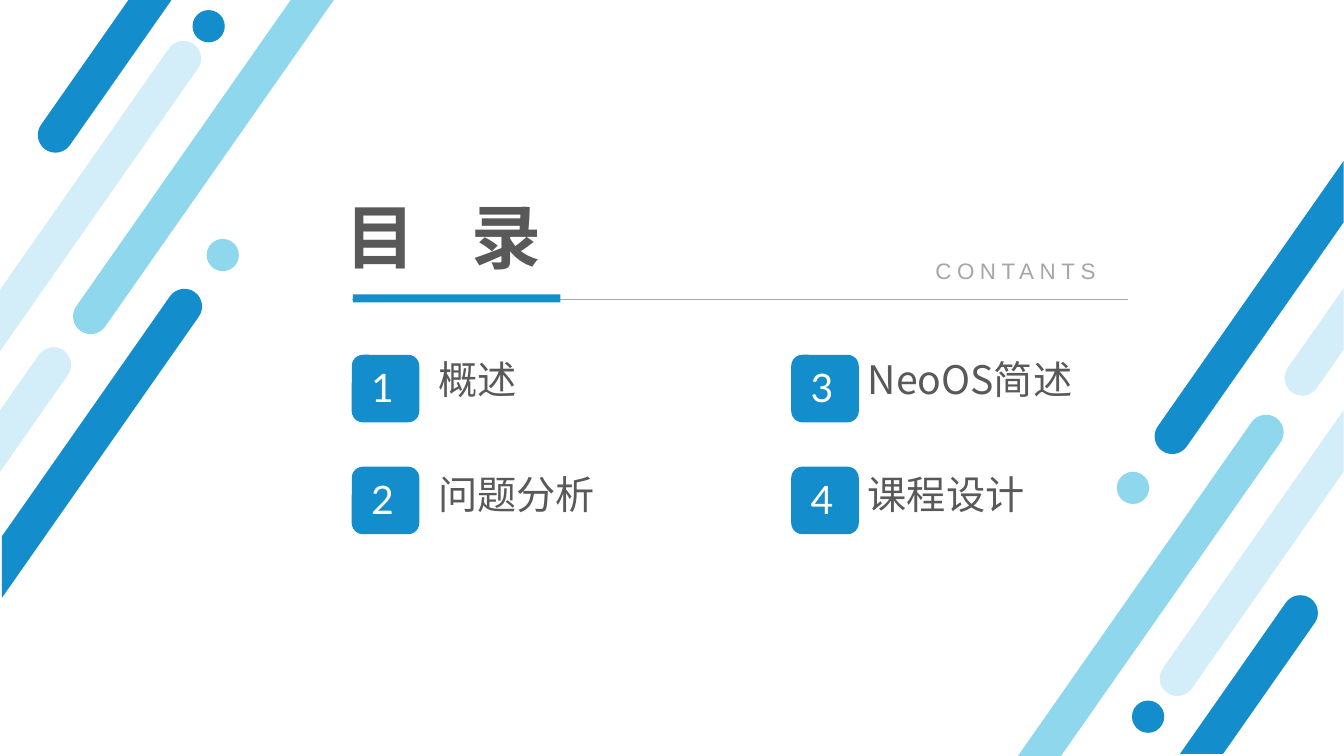
import math
from dataclasses import dataclass

from lxml import etree
from pptx import Presentation
from pptx import util as u
from pptx.dml.color import RGBColor
from pptx.enum import shapes, text
from pptx.oxml.ns import qn

TITLE = ("目", " ", "录")
SUBTITLE = "CONTANTS"
COLUMNS = [
    {"badge_x": 3.49, "text_x": 4.25, "items": [("1", "概述"), ("2", "问题分析")]},
    {"badge_x": 7.85, "text_x": 8.51, "items": [("3", "NeoOS简述"), ("4", "课程设计")]},
]
BARS = [
    ((1.83, 3.04), "x", 0.02, "blue"),
    ((0.53, 3.62), "x", 0, "pale"),
    ((0.9, 3.14), "y", 0, "sky"),
    ((1.82, 0.58), "x", 0, "pale"),
    ((0.55, 1.34), "y", 0, "blue"),
    ((11.63, 4.33), "x", 13.33, "blue"),
    ((12.92, 3.75), "x", 13.33, "pale"),
    ((12.56, 4.29), "y", 7.5, "sky"),
    ((11.68, 6.73), "x", 13.33, "pale"),
    ((12.9, 6.08), "y", 7.48, "blue"),
]
DOTS = [
    (2.05, 2.37, "sky"),
    (1.91, 0.1, "blue"),
    (11.08, 4.68, "sky"),
    (11.23, 6.95, "blue"),
]


@dataclass(frozen=True)
class Theme:
    blue: str = "138DCC"
    sky: str = "8FD7ED"
    pale: str = "D3EEF9"
    ink: str = "595959"
    grey: str = "A6A6A6"
    white: str = "FFFFFF"
    cjk: str = "Noto Sans CJK SC"
    digits: str = "Lato"
    latin: str = "Arial"
    title_size: int = 50
    item_size: int = 28
    subtitle_size: int = 16


T = Theme()
BAR_RADIUS = 0.175
BAR_ANGLE = math.radians(35)
CURVE = 0.55
CAP_OUTLINE = [(1, 0), (1, CURVE), (CURVE, 1), (0, 1), (-CURVE, 1), (-1, CURVE), (-1, 0)]
DOT_SIZE = 0.32
BADGE_SIZE = 0.67
BADGE_TOP, BADGE_PITCH = 3.52, 1.11
LIST_TOP, LIST_GAP = 3.47, 49


def color(value):
    return RGBColor.from_string(value)


def paint(sp, fill):
    sp.shadow.inherit = False
    sp.fill.solid()
    sp.fill.fore_color.rgb = color(fill)
    sp.line.fill.background()


def place(sp, x, y, w, h):
    sp.left, sp.top, sp.width, sp.height = map(u.Inches, (x, y, w, h))


def add_preset(s, kind, x, y, w, h, fill):
    sp = s.shapes.add_shape(kind, *map(u.Inches, (x, y, w, h)))
    paint(sp, fill)
    return sp


def add_run(p, words, font, size, fill, bold=False, spacing=0):
    r = p.add_run()
    r.text = words
    r.font.name = font
    r.font.size = u.Pt(size)
    r.font.bold = bold
    r.font.color.rgb = color(fill)
    rpr = r.font._element
    etree.SubElement(rpr, qn("a:ea")).set("typeface", font)
    if spacing:
        rpr.set("spc", str(int(spacing * 100)))


def setup_frame(sp, left=0.1, top=0.05):
    tf = sp.text_frame
    tf.word_wrap = True
    tf.auto_size = text.MSO_AUTO_SIZE.NONE
    tf.vertical_anchor = text.MSO_ANCHOR.TOP
    tf.margin_left, tf.margin_top = u.Inches(left), u.Inches(top)
    return tf


def merge_curve(segments):
    curve = segments[0]
    curve.tag = qn("a:cubicBezTo")
    for segment in segments[1:]:
        curve.append(segment[0])
        segment.getparent().remove(segment)


def add_bar(s, cap, axis, edge, fill):
    along = (math.sin(BAR_ANGLE), -math.cos(BAR_ANGLE))
    across = (math.cos(BAR_ANGLE), math.sin(BAR_ANGLE))
    i = "xy".index(axis)
    sign = math.copysign(1, (edge - cap[i]) / along[i])

    def rim(a, b):
        return [c + BAR_RADIUS * (a * n - sign * b * d)
                for c, n, d in zip(cap, across, along)]

    def reach(point):
        t = (edge - point[i]) / along[i]
        return [c + t * d for c, d in zip(point, along)]

    end = [rim(a, b) for a, b in CAP_OUTLINE]
    outline = [reach(end[0]), *end, reach(end[-1])]
    points = [(u.Inches(x), u.Inches(y)) for x, y in outline]
    builder = s.shapes.build_freeform(*points[0])
    builder.add_line_segments(points[1:], close=True)
    bar = builder.convert_to_shape()
    lines = list(bar._element.iter(qn("a:lnTo")))
    merge_curve(lines[1:4])
    merge_curve(lines[4:7])
    paint(bar, fill)


def add_heading(s):
    title = s.shapes.title
    place(title, 3.33, 1.87, 9.61, 0.99)
    p = setup_frame(title).paragraphs[0]
    p.alignment = text.PP_ALIGN.LEFT
    for words, spacing in zip(TITLE, (1.5, 26.9, 1.5)):
        add_run(p, words, T.cjk, T.title_size, T.ink, True, spacing)

    box = s.shapes.add_textbox(*map(u.Inches, (8.83, 2.5, 2.49, 0.37)))
    p = setup_frame(box).paragraphs[0]
    p.alignment = text.PP_ALIGN.CENTER
    add_run(p, SUBTITLE, T.latin, T.subtitle_size, T.grey, spacing=4)

    ends = map(u.Inches, (3.49, 2.97, 11.19, 2.97))
    rule = s.shapes.add_connector(shapes.MSO_CONNECTOR.STRAIGHT, *ends)
    rule.line.color.rgb = color(T.grey)
    rule.line.width = u.Pt(0.5)
    etree.SubElement(rule._element.spPr, qn("a:effectLst"))
    add_preset(s, shapes.MSO_SHAPE.RECTANGLE, 3.5, 2.92, 2.06, 0.08, T.blue)


def add_column(s, body, column):
    place(body, column["text_x"], LIST_TOP, 3.26, 1.9)
    tf = setup_frame(body)
    for row, (number, words) in enumerate(column["items"]):
        p = tf.add_paragraph() if row else tf.paragraphs[0]
        p.space_before = u.Pt(LIST_GAP if row else 0)
        ppr = p._p.get_or_add_pPr()
        ppr.set("marL", "0")
        ppr.set("indent", "0")
        etree.SubElement(ppr, qn("a:buNone"))
        add_run(p, words, T.cjk, T.item_size, T.ink)

        y = BADGE_TOP + row * BADGE_PITCH
        badge = add_preset(s, shapes.MSO_SHAPE.ROUNDED_RECTANGLE,
                           column["badge_x"], y, BADGE_SIZE, BADGE_SIZE, T.blue)
        p = setup_frame(badge, 0.16, 0.05).paragraphs[0]
        p.alignment = text.PP_ALIGN.LEFT
        add_run(p, number, T.digits, T.item_size, T.white)


def main():
    prs = Presentation()
    prs.slide_width, prs.slide_height = u.Inches(40 / 3), u.Inches(7.5)
    s = prs.slides.add_slide(prs.slide_layouts.get_by_name("Two Content"))
    bodies = [sp for sp in s.placeholders if sp.placeholder_format.idx]
    for cap, axis, edge, name in BARS:
        add_bar(s, cap, axis, edge, getattr(T, name))
    for x, y, name in DOTS:
        add_preset(s, shapes.MSO_SHAPE.OVAL, x, y, DOT_SIZE, DOT_SIZE, getattr(T, name))
    add_heading(s)
    for body, column in zip(bodies, COLUMNS):
        add_column(s, body, column)
    prs.save("out.pptx")


if __name__ == "__main__":
    main()
